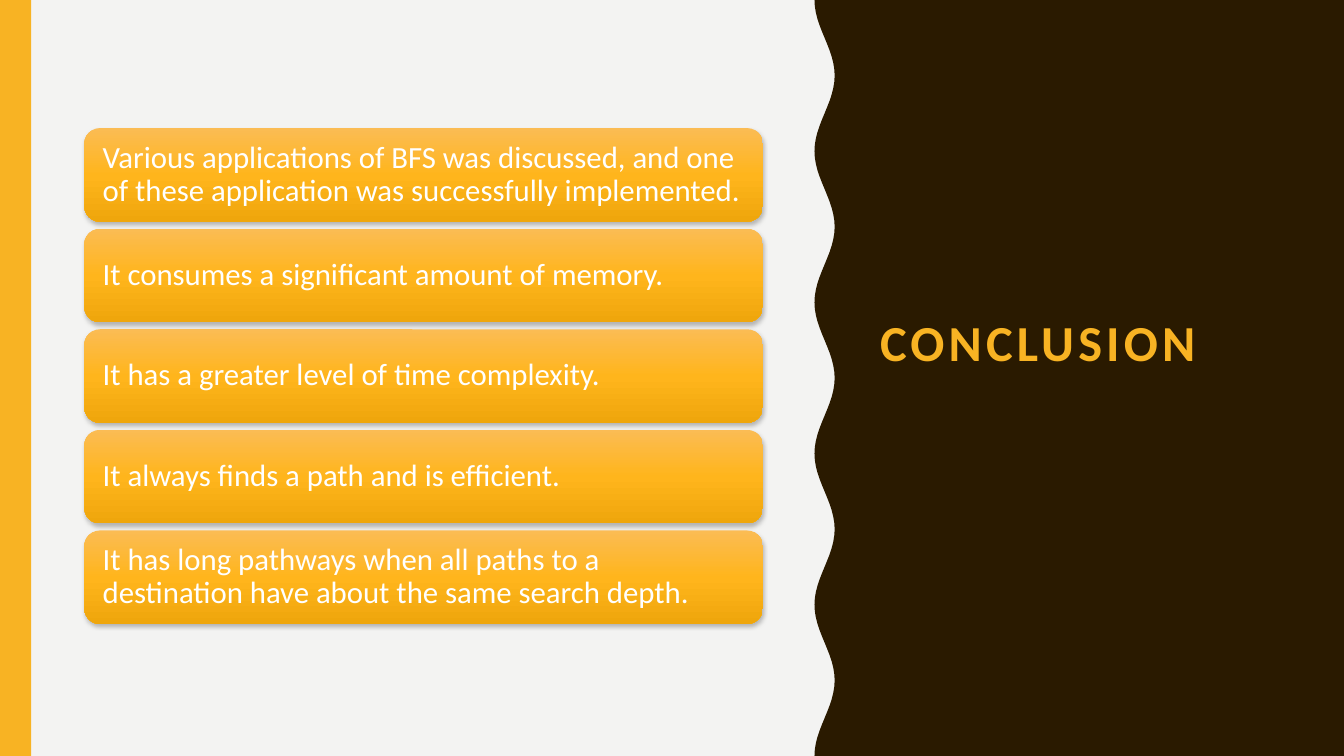
import copy
import math
from dataclasses import dataclass

import pptx
import pptx.dml.color
import pptx.enum.shapes
import pptx.enum.text
import pptx.oxml
import pptx.oxml.ns
import pptx.util

Pt = pptx.util.Pt
RGB = pptx.dml.color.RGBColor.from_string
SHAPE = pptx.enum.shapes.MSO_SHAPE
TEXT = pptx.enum.text


@dataclass(frozen=True)
class Theme:
    font: str = "Calibri"
    background: str = "F3F3F2"
    panel: str = "2A1A00"
    accent: str = "F8B323"
    card_text: str = "FFFFFF"
    card_gradient: tuple = ("FBBC54", "FFB51C", "EFA60C")
    title_size: int = 36
    card_size: int = 22


theme = Theme()
WIDTH, HEIGHT = 960, 540

CONCLUSIONS = [
    "Various applications of BFS was discussed, and one of these application was successfully implemented.",
    "It consumes a significant amount of memory.",
    "It has a greater level of time complexity.",
    "It always finds a path and is efficient.",
    "It has long pathways when all paths to a destination have about the same search depth.",
]

CARD_SHADOW = (
    f'<a:outerShdw {pptx.oxml.ns.nsdecls("a")} blurRad="{Pt(3)}" dist="{Pt(2)}" '
    'dir="5400000" algn="ctr" rotWithShape="0">'
    '<a:srgbClr val="000000"><a:alpha val="25000"/></a:srgbClr></a:outerShdw>'
)


def add_styled_run(paragraph, text, size, color):
    run = paragraph.add_run()
    run.text = text
    run.font.name = theme.font
    run.font.size = Pt(size)
    run.font.color.rgb = RGB(color)
    return run


def paint_plain(shape, color):
    """Give the shape a solid fill with no outline and no shadow."""
    shape.fill.solid()
    shape.fill.fore_color.rgb = RGB(color)
    shape.line.fill.background()
    shape.shadow.inherit = False


deck = pptx.Presentation()
deck.slide_width, deck.slide_height = Pt(WIDTH), Pt(HEIGHT)
slide = deck.slides.add_slide(deck.slide_layouts[5])
slide.background.fill.solid()
slide.background.fill.fore_color.rgb = RGB(theme.background)

# Dark panel whose left edge is a cosine wave of five periods
wave_center, wave_depth, wave_period, wave_step = 589, 7.2, HEIGHT / 5, 4.5
wave = []
for step in range(int(HEIGHT / wave_step) + 1):
    y = HEIGHT - step * wave_step
    x = wave_center - wave_depth * math.cos(2 * math.pi * y / wave_period)
    wave.append((Pt(x), Pt(y)))
outline = slide.shapes.build_freeform(Pt(WIDTH), Pt(0))
outline.add_line_segments([(Pt(WIDTH), Pt(HEIGHT)), *wave], close=True)
paint_plain(outline.convert_to_shape(), theme.panel)

edge_bar = slide.shapes.add_shape(SHAPE.RECTANGLE, 0, 0, Pt(22.3), Pt(HEIGHT))
paint_plain(edge_bar, theme.accent)

# Title, brought in front of the panel
title = slide.shapes.title
slide.shapes._spTree.append(title._element)
title.left, title.top, title.width, title.height = Pt(621.4), Pt(175), Pt(328.3), Pt(94.3)
title.text_frame.auto_size = TEXT.MSO_AUTO_SIZE.NONE
title.text_frame.vertical_anchor = TEXT.MSO_ANCHOR.BOTTOM
heading = title.text_frame.paragraphs[0]
heading.alignment = TEXT.PP_ALIGN.LEFT
heading_run = add_styled_run(heading, "CONCLUSION", theme.title_size, theme.accent)
heading_run.font.bold = True
heading_run.font._element.set("spc", "300")

# One card per conclusion
card_left, card_top, card_width, card_height, card_pitch = 60.3, 91.5, 484.6, 66.8, 71.85
for row, conclusion in enumerate(CONCLUSIONS):
    card = slide.shapes.add_shape(
        SHAPE.ROUNDED_RECTANGLE,
        Pt(card_left), Pt(card_top + row * card_pitch), Pt(card_width), Pt(card_height),
    )
    card.line.fill.background()

    card.fill.gradient()
    card.fill.gradient_angle = 270
    stops = card._element.spPr.find(".//" + pptx.oxml.ns.qn("a:gsLst"))
    stops.insert(1, copy.deepcopy(stops[0]))
    for index, (stop, color) in enumerate(zip(card.fill.gradient_stops, theme.card_gradient)):
        stop.position = index / 2
        stop.color.rgb = RGB(color)

    card.shadow.inherit = False
    effects = card._element.spPr.find(pptx.oxml.ns.qn("a:effectLst"))
    effects.append(pptx.oxml.parse_xml(CARD_SHADOW))

    frame = card.text_frame
    frame.word_wrap = True
    frame.vertical_anchor = TEXT.MSO_ANCHOR.MIDDLE
    frame.margin_left = frame.margin_right = Pt(9.8)
    frame.margin_top = frame.margin_bottom = Pt(6)
    statement = frame.paragraphs[0]
    statement.alignment = TEXT.PP_ALIGN.LEFT
    statement.line_spacing = 0.9
    add_styled_run(statement, conclusion, theme.card_size, theme.card_text)

deck.save("out.pptx")
